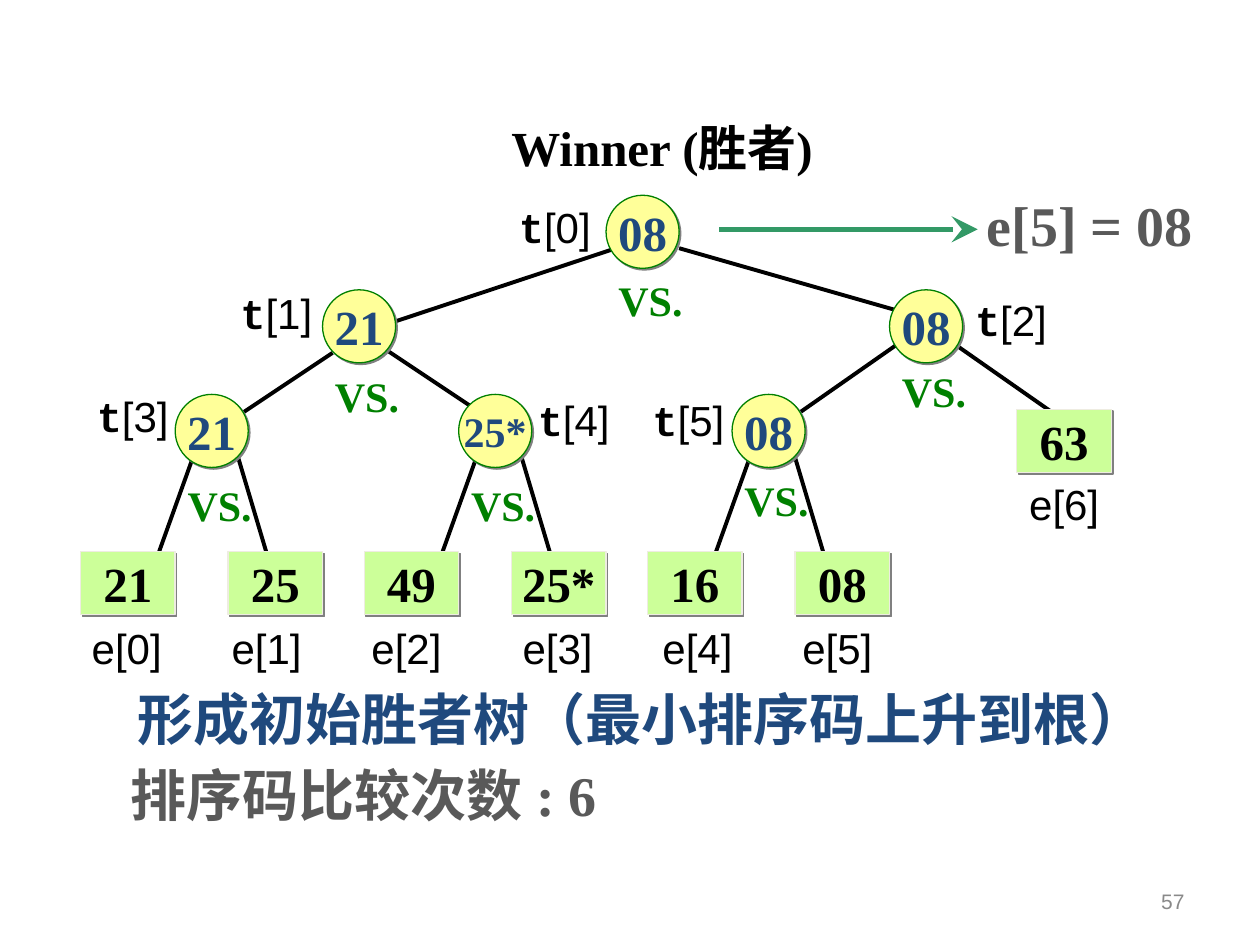
from dataclasses import dataclass

from pptx import Presentation
from pptx.dml.color import RGBColor
from pptx.enum.shapes import MSO_CONNECTOR, MSO_SHAPE
from pptx.enum.text import MSO_ANCHOR, PP_ALIGN
from pptx.oxml.ns import qn
from pptx.util import Inches, Pt
from lxml import etree

OVAL, RECT = MSO_SHAPE.OVAL, MSO_SHAPE.RECTANGLE
STRAIGHT = MSO_CONNECTOR.STRAIGHT
LEFT, CENTER, RIGHT = PP_ALIGN.LEFT, PP_ALIGN.CENTER, PP_ALIGN.RIGHT
TOP, MIDDLE = MSO_ANCHOR.TOP, MSO_ANCHOR.MIDDLE

COLORS = {
    "black": "000000", "navy": "1F497D", "gray": "595959", "green": "008000",
    "arrow": "339966", "node": "FFFF99", "leaf": "CCFF99",
    "leaf_edge": "EEECE1", "shadow": "808080", "page": "898989",
}

# The slide is a grid of 100 columns by 75 rows
COLS, ROWS = 100, 75
WIDTH, HEIGHT = Inches(10), Inches(7.5)
NODE_SIZE = 5.8
LEAF_W, LEAF_H = 7.5, 5
LABEL_W, LABEL_H = 8.3, 5

SERIF = {"name": "Times New Roman", "bold": True}
HEADING = {**SERIF, "size": Pt(28)}
LARGE = {**SERIF, "size": Pt(32)}
VERSUS = {**SERIF, "size": Pt(24)}
INDEX = {"name": "Arial", "size": Pt(24), "bold": False}
ARRAY_NAME = {"name": "Courier New", "size": Pt(24), "bold": True}
PAGE = {"name": "Arial", "size": Pt(12)}


@dataclass
class Run:
    text: str
    font: dict
    color: str = "black"


@dataclass
class Node:
    winner: str
    col: float
    row: float
    label_col: float
    label_row: float
    versus_drop: float
    size: int = 28


@dataclass
class Leaf:
    key: str
    col: float
    row: float


@dataclass
class Edge:
    col1: float
    row1: float
    col2: float
    row2: float


NODES = [
    Node("08", 48.1, 15.5, 40.2, 15.5, 5.8),
    Node("21", 25.6, 23, 18.1, 22.3, 5.9),
    Node("08", 70.6, 23, 76.4, 22.9, 5.5),
    Node("21", 13.9, 31.3, 6.7, 30.5, 6.3),
    Node("25*", 36.4, 31.3, 41.7, 30.8, 6.3, 24),
    Node("08", 58.1, 31.3, 50.8, 30.8, 5.9),
]
BOTTOM_NODES = NODES[3:]
LEAF_ROW, PAIR_PITCH, PAIR_GAP = 43.8, 22.5, 11.7
LEAVES = [
    Leaf(key, 6.4 + PAIR_PITCH * (i // 2) + PAIR_GAP * (i % 2), LEAF_ROW)
    for i, key in enumerate(["21", "25", "49", "25*", "16", "08"])
] + [Leaf("63", 80.7, 32.5)]

UPPER_EDGES = [
    Edge(53.9, 19.7, 71.4, 24.7), Edge(31.4, 25.5, 48.9, 19.7),
    Edge(71.4, 27.2, 63.1, 33), Edge(29.8, 27.2, 37.3, 32.2),
    Edge(75.6, 27.2, 83.9, 33), Edge(26.4, 28, 18.9, 33),
]


def x(cols: float) -> int:
    return round(WIDTH * cols / COLS)


def y(rows: float) -> int:
    return round(HEIGHT * rows / ROWS)


def rgb(name: str) -> RGBColor:
    return RGBColor.from_string(COLORS[name])


def write(shape, runs: list[Run], align=LEFT, anchor=TOP, wrap=True):
    frame = shape.text_frame
    settings = {"word_wrap": wrap, "vertical_anchor": anchor,
                "margin_left": Inches(0.1), "margin_right": Inches(0.1),
                "margin_top": Inches(0.05), "margin_bottom": Inches(0.05)}
    for name, value in settings.items():
        setattr(frame, name, value)
    paragraph = frame.paragraphs[0]
    paragraph.alignment = align
    for part in runs:
        run = paragraph.add_run()
        run.text = part.text
        for name, value in part.font.items():
            setattr(run.font, name, value)
        run.font.color.rgb = rgb(part.color)
    return paragraph


def add_text(slide, col: float, row: float, cols: float, rows: float,
             runs: list[Run], **layout):
    box = slide.shapes.add_textbox(x(col), y(row), x(cols), y(rows))
    return write(box, runs, **layout)


def add_line(slide, edge: Edge, color: str = "black", width: float = 2.25):
    line = slide.shapes.add_connector(
        STRAIGHT, x(edge.col1), y(edge.row1), x(edge.col2), y(edge.row2))
    line.line.color.rgb = rgb(color)
    line.line.width = Pt(width)
    etree.SubElement(line._element.spPr, qn("a:effectLst"))
    return line


def add_cell(slide, kind, col: float, row: float, cols: float, rows: float,
             run: Run, fill: str, edge: str) -> None:
    cell = slide.shapes.add_shape(kind, x(col), y(row), x(cols), y(rows))
    cell.fill.solid()
    cell.fill.fore_color.rgb = rgb(fill)
    cell.line.color.rgb = rgb(edge)
    cell.line.width = Pt(0.75)
    cell.shadow.inherit = False
    effects = cell._element.spPr.find(qn("a:effectLst"))
    shadow = etree.SubElement(effects, qn("a:outerShdw"), blurRad="0",
                              dist=str(Pt(1.4)), dir=str(45 * 60000))
    etree.SubElement(shadow, qn("a:srgbClr"), val=COLORS["shadow"])
    write(cell, [run], align=CENTER, anchor=MIDDLE, wrap=False)


def add_tabs(paragraph, stops: list[float]) -> None:
    tabs = etree.SubElement(paragraph._p.get_or_add_pPr(), qn("a:tabLst"))
    for stop in stops:
        etree.SubElement(tabs, qn("a:tab"), pos=str(x(stop)), algn="l")


def main() -> None:
    deck = Presentation()
    deck.slide_width, deck.slide_height = WIDTH, HEIGHT
    slide = deck.slides.add_slide(deck.slide_layouts[5])

    # Title above the root
    title = slide.shapes.title
    title.left, title.top, title.width, title.height = x(38.6), y(8.8), x(27.9), y(5.7)
    write(title, [Run("Winner (胜者)", HEADING)], align=CENTER, wrap=False)

    # Tree edges
    leaf_edges = []
    for node in BOTTOM_NODES:
        center = node.col + NODE_SIZE / 2
        leaf_edges += [Edge(center - 1.2, 35.5, center - 4.5, 44.7),
                       Edge(center + 2.1, 36.3, center + 4.6, 44.7)]
    for edge in UPPER_EDGES + leaf_edges:
        add_line(slide, edge)

    # Matches with their array labels
    for i, node in enumerate(NODES):
        add_cell(slide, OVAL, node.col, node.row, NODE_SIZE, NODE_SIZE,
                 Run(node.winner, {**SERIF, "size": Pt(node.size)}, "navy"),
                 "node", "green")
        add_text(slide, node.label_col, node.label_row, LABEL_W, LABEL_H,
                 [Run("t", ARRAY_NAME), Run(f"[{i}]", INDEX)])
        add_text(slide, node.col, node.row + node.versus_drop, 8, 5,
                 [Run("VS.", VERSUS, "green")])

    # Competitors with their array labels
    for leaf in LEAVES:
        add_cell(slide, RECT, leaf.col, leaf.row, LEAF_W, LEAF_H,
                 Run(leaf.key, HEADING), "leaf", "leaf_edge")
    row_labels = "\t".join(f"e[{i}]" for i in range(6))
    labels = add_text(slide, 6.3, 48.9, 64.3, LABEL_H, [Run(row_labels, INDEX)])
    add_tabs(labels, [11.1, 22.2, 34.2, 45.3, 56.4])
    add_text(slide, 80.7, 37.5, LABEL_W, LABEL_H, [Run("e[6]", INDEX)])

    # Result of the tournament
    arrow = add_line(slide, Edge(57.1, 18.2, 77.6, 18.2), "arrow", 3)
    etree.SubElement(arrow.line._get_or_add_ln(), qn("a:tailEnd"), type="stealth",
                     w="lg", len="lg")
    add_text(slide, 77.3, 14.6, 18.4, 6.4, [Run("e[5] = 08", LARGE, "gray")],
             align=CENTER, wrap=False)

    # Conclusions and page number
    add_text(slide, 9.9, 53.8, 82.2, 6.4,
             [Run("形成初始胜者树（最小排序码上升到根）", LARGE, "navy")])
    add_text(slide, 9.4, 59.9, 41, 6.4, [Run("排序码比较次数 : 6", LARGE, "gray")])
    add_text(slide, 71.7, 69.5, 23.3, 4, [Run("57", PAGE, "page")],
             align=RIGHT, anchor=MIDDLE)

    deck.save("out.pptx")


if __name__ == "__main__":
    main()
